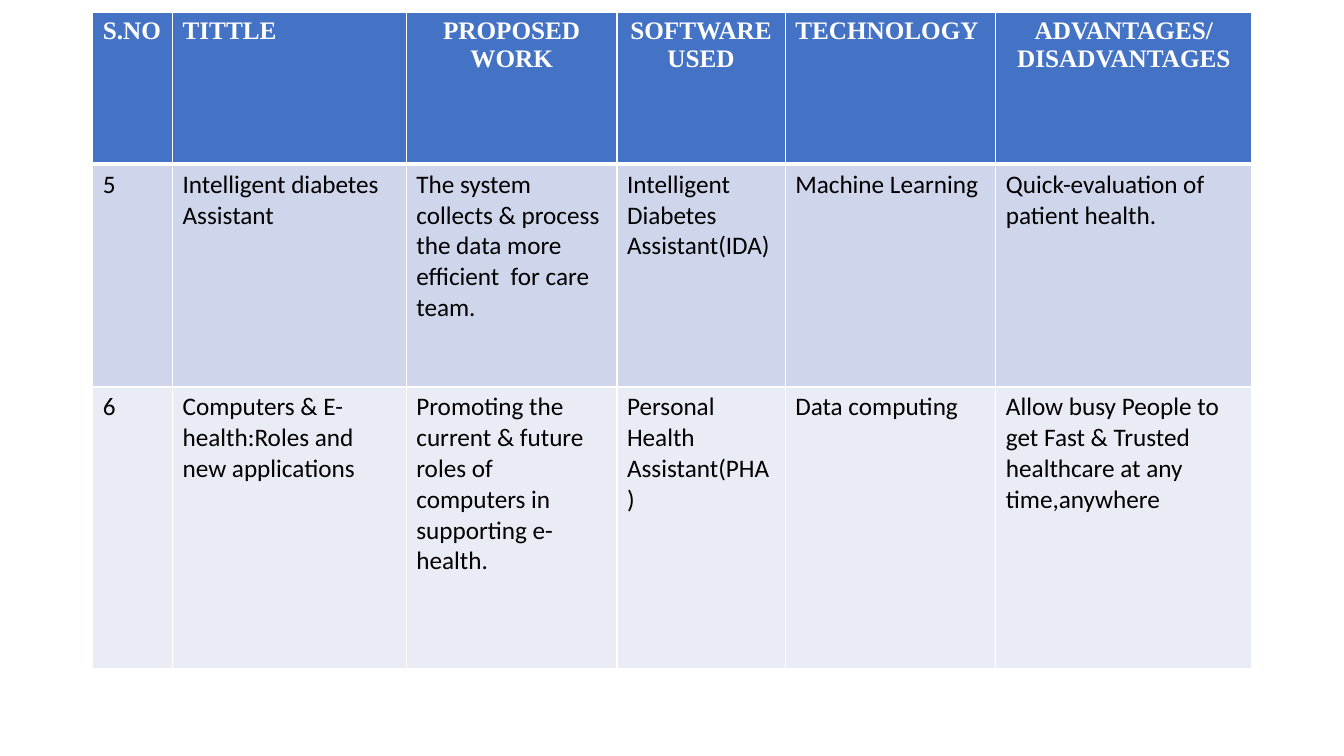
"""Build a literature survey slide: one table of reviewed health systems."""
from dataclasses import dataclass

from lxml.etree import SubElement
from pptx import Presentation
from pptx.dml.color import RGBColor
from pptx.enum.text import PP_ALIGN
from pptx.oxml.ns import qn
from pptx.table import _Cell
from pptx.util import Cm, Pt


@dataclass(frozen=True)
class Theme:
    """Colours, fonts and sizes of the slide."""
    header: str = "4472C4"
    bands: tuple[str, str] = ("CFD5EA", "E9EBF5")
    light: str = "FFFFFF"
    dark: str = "000000"
    header_font: str = "Times New Roman"
    body_font: str = "Calibri"
    size: int = 18
    rule: int = 1
    header_rule: int = 3


@dataclass(frozen=True)
class Column:
    """One survey column: width in cm, heading, entries and heading alignment."""
    width: float
    heading: str
    entries: tuple[str, str]
    align: PP_ALIGN = PP_ALIGN.LEFT


@dataclass(frozen=True)
class CellStyle:
    """Look of one kind of cell."""
    fill: str
    font: str
    color: str
    bold: bool
    top: int
    bottom: int


THEME = Theme()
LEFT, TOP = 2.34, 0.3
ROW_HEIGHTS = (3.84, 5.61, 7.11)
COLUMNS = (
    Column(2.01, "S.NO", ("5", "6")),
    Column(5.89, "TITTLE", (
        "Intelligent diabetes Assistant",
        "Computers & E-health:Roles and new applications")),
    Column(5.31, "PROPOSED WORK", (
        "The system collects & process the data more efficient  for care team.",
        "Promoting the current & future roles of computers in supporting e-health."),
        PP_ALIGN.CENTER),
    Column(4.24, "SOFTWARE\nUSED", (
        "Intelligent Diabetes Assistant(IDA)",
        "Personal Health Assistant(PHA)"), PP_ALIGN.CENTER),
    Column(5.31, "TECHNOLOGY", ("Machine Learning", "Data computing")),
    Column(6.45, "ADVANTAGES/ DISADVANTAGES", (
        "Quick-evaluation of patient health.",
        "Allow busy People to get Fast & Trusted healthcare at any time,anywhere"),
        PP_ALIGN.CENTER),
)
HEADER = CellStyle(THEME.header, THEME.header_font, THEME.light, True,
                   THEME.rule, THEME.header_rule)
BODY = tuple(
    CellStyle(fill, THEME.body_font, THEME.dark, False, top, THEME.rule)
    for fill, top in zip(THEME.bands, (THEME.header_rule, THEME.rule)))


def set_borders(cell: _Cell, style: CellStyle) -> None:
    """Draw the four light rules around a cell."""
    props = cell._tc.get_or_add_tcPr()
    widths = {"L": THEME.rule, "R": THEME.rule, "T": style.top, "B": style.bottom}
    for side, width in widths.items():
        ln = SubElement(props, qn(f"a:ln{side}"), w=str(Pt(width)))
        SubElement(SubElement(ln, qn("a:solidFill")), qn("a:srgbClr"), val=THEME.light)


def fill_cell(cell: _Cell, text: str, style: CellStyle, align: PP_ALIGN) -> None:
    """Write and format one cell."""
    set_borders(cell, style)
    cell.fill.solid()
    cell.fill.fore_color.rgb = RGBColor.from_string(style.fill)
    cell.text_frame.text = text
    for p in cell.text_frame.paragraphs:
        p.alignment = align
        for r in p.runs:
            r.font.name = style.font
            r.font.size = Pt(THEME.size)
            r.font.bold = style.bold
            r.font.color.rgb = RGBColor.from_string(style.color)


def main() -> None:
    """Create the slide and save it."""
    prs = Presentation()
    prs.slide_width, prs.slide_height = Cm(33.87), Cm(19.05)
    s = prs.slides.add_slide(prs.slide_layouts[6])
    table = s.shapes.add_table(
        len(ROW_HEIGHTS), len(COLUMNS), Cm(LEFT), Cm(TOP),
        Cm(sum(c.width for c in COLUMNS)), Cm(sum(ROW_HEIGHTS))).table
    for row, height in zip(table.rows, ROW_HEIGHTS):
        row.height = Cm(height)
    for i, column in enumerate(COLUMNS):
        table.columns[i].width = Cm(column.width)
        fill_cell(table.cell(0, i), column.heading, HEADER, column.align)
        for j, (entry, style) in enumerate(zip(column.entries, BODY), start=1):
            fill_cell(table.cell(j, i), entry, style, PP_ALIGN.LEFT)
    prs.save("out.pptx")


main()
